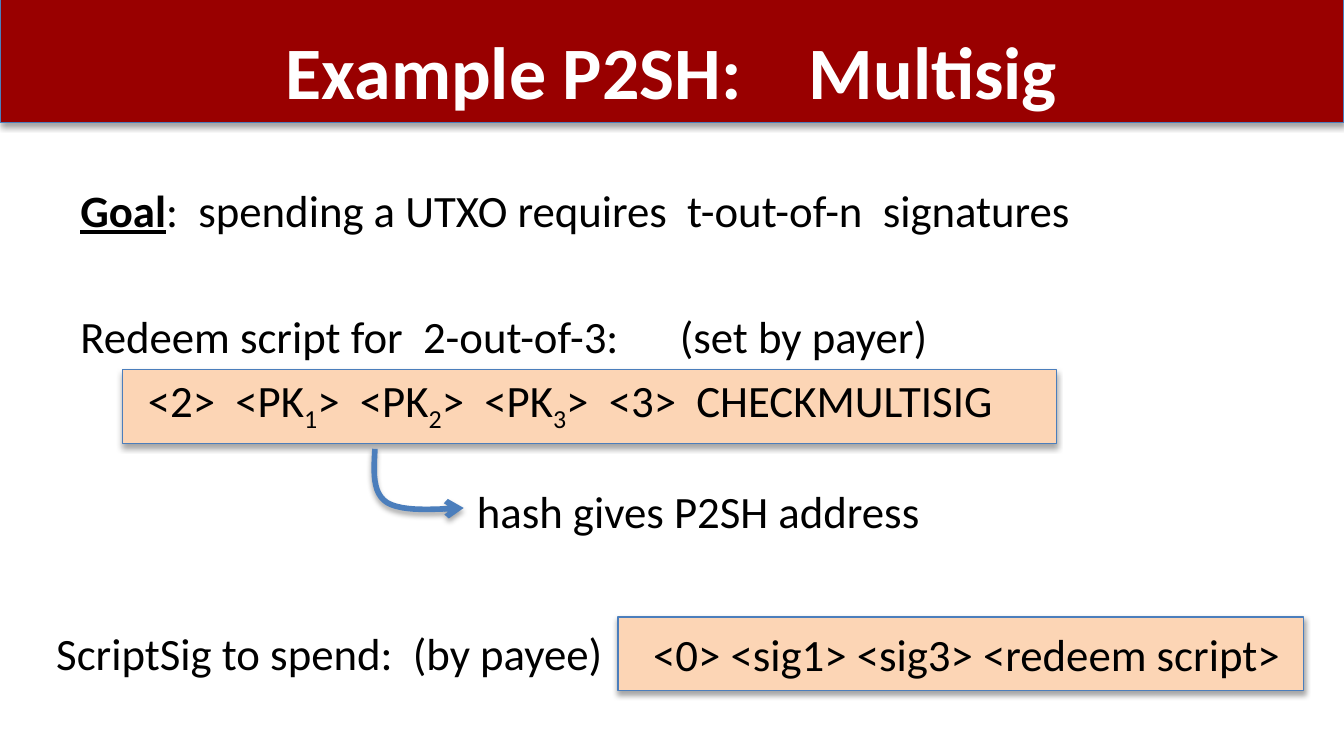
from dataclasses import dataclass

from lxml import etree
from pptx import Presentation
from pptx.dml.color import RGBColor
from pptx.enum.shapes import MSO_SHAPE as Shape
from pptx.enum.text import MSO_ANCHOR as Anchor, PP_ALIGN as Align
from pptx.oxml import parse_xml
from pptx.oxml.ns import nsdecls, qn
from pptx.util import Inches, Pt

COLORS = {"banner": "990000", "box": "FCD5B5", "line": "4B7EBC",
          "text": "000000", "title": "FFFFFF", "shadow": "000000"}


def bezier(p0, p1, p2, p3, steps=12):
    """Return points along a cubic curve, without its start."""
    points = []
    for i in range(1, steps + 1):
        t = i / steps
        u = 1 - t
        points.append(tuple(u**3 * a + 3 * u * u * t * b + 3 * u * t * t * c + t**3 * d
                            for a, b, c, d in zip(p0, p1, p2, p3)))
    return points


@dataclass
class SlideBuilder:
    """Hold the style and the current slide."""
    slide: object
    font: str = "Calibri"
    size: float = 24

    def color(self, name):
        """Return a named colour."""
        return RGBColor.from_string(COLORS[name])

    def shadow(self, s):
        """Give a shape a soft shadow below."""
        s.shadow.inherit = False
        s._element.spPr.find(qn("a:effectLst")).append(parse_xml(
            f'<a:outerShdw {nsdecls("a")} blurRad="{Pt(3.1)}" dist="{Pt(1.8)}" '
            f'dir="5400000" rotWithShape="0"><a:srgbClr val="{COLORS["shadow"]}">'
            '<a:alpha val="35000"/></a:srgbClr></a:outerShdw>'))

    def box(self, x, y, w, h, fill):
        """Add an outlined rectangle with a shadow."""
        s = self.slide.shapes.add_shape(
            Shape.RECTANGLE, Inches(x), Inches(y), Inches(w), Inches(h))
        s.fill.solid()
        s.fill.fore_color.rgb = self.color(fill)
        s.line.color.rgb = self.color("line")
        s.line.width = Pt(0.75)
        self.shadow(s)
        return s

    def run(self, p, text, size=None, color="text", bold=False, underline=False, sub=False):
        """Add a styled run to a paragraph."""
        r = p.add_run()
        r.text = text
        r.font.name = self.font
        r.font.size = Pt(size or self.size)
        r.font.color.rgb = self.color(color)
        r.font.bold = bold
        r.font.underline = underline
        if sub:
            r._r.get_or_add_rPr().set("baseline", "-25000")

    def tab(self, p, pos):
        """Set one left tab stop on a paragraph."""
        tabs = etree.SubElement(p._p.get_or_add_pPr(), qn("a:tabLst"))
        etree.SubElement(tabs, qn("a:tab"), pos=str(Inches(pos)), algn="l")

    def text(self, x, y, w, h):
        """Add a wrapping text box and return its frame."""
        tf = self.slide.shapes.add_textbox(
            Inches(x), Inches(y), Inches(w), Inches(h)).text_frame
        tf.word_wrap = True
        return tf

    def script(self, x, y, w, h, left, top):
        """Add a script box and return its paragraph."""
        tf = self.box(x, y, w, h, "box").text_frame
        tf.word_wrap = True
        tf.vertical_anchor = Anchor.TOP
        tf.margin_left, tf.margin_top = Inches(left), Inches(top)
        tf.margin_right = tf.margin_bottom = 0
        p = tf.paragraphs[0]
        p.alignment = Align.LEFT
        return p

    def arrow(self, start, *curves):
        """Add a curved arrow made of cubic segments."""
        points, p0 = [start], start
        for curve in curves:
            points += bezier(p0, *curve)
            p0 = curve[-1]
        first, *rest = [(Inches(x), Inches(y)) for x, y in points]
        fb = self.slide.shapes.build_freeform(*first)
        fb.add_line_segments(rest, close=False)
        s = fb.convert_to_shape()
        s.fill.background()
        s.line.color.rgb = self.color("line")
        s.line.width = Pt(3)
        etree.SubElement(s.line._get_or_add_ln(), qn("a:tailEnd"), type="arrow")
        self.shadow(s)


def main():
    """Build the multisig slide."""
    prs = Presentation()
    prs.slide_width = Inches(10)
    prs.slide_height = prs.slide_width * 9 // 16
    b = SlideBuilder(prs.slides.add_slide(prs.slide_layouts[6]))

    b.box(0, -0.01, 10, 0.92, "banner")
    p = b.text(2.03, 0.14, 6.2, 0.77).paragraphs[0]
    b.tab(p, 3.89)
    b.run(p, "Example P2SH:\tMultisig", size=39.6, color="title", bold=True)

    tf = b.text(0.5, 1.31, 9, 1.44)
    p = tf.paragraphs[0]
    b.run(p, "Goal", bold=True, underline=True)
    b.run(p, ":  spending a UTXO requires  t-out-of-n  signatures")
    p = tf.add_paragraph()
    p.space_before = Pt(38.6)
    b.tab(p, 4.46)
    b.run(p, "Redeem script for  2-out-of-3:\t(set by payer)")

    p = b.script(0.91, 2.75, 6.95, 0.55, left=0.19, top=0.02)
    b.run(p, "<2>  <PK")
    for key, after in (("1", ">  <PK"), ("2", ">  <PK"), ("3", ">  <3>  CHECKMULTISIG")):
        b.run(p, key, sub=True)
        b.run(p, after)

    b.arrow((2.79, 3.34),
            ((2.78, 3.51), (2.77, 3.67), (2.88, 3.74)),
            ((3, 3.81), (3.23, 3.79), (3.45, 3.78)))
    b.run(b.text(3.45, 3.55, 3.53, 0.5).paragraphs[0], "hash gives P2SH address")

    b.run(b.text(0.32, 4.61, 4.28, 0.5).paragraphs[0], "ScriptSig to spend:  (by payee)")
    p = b.script(4.6, 4.59, 5.1, 0.55, left=0.26, top=0.07)
    b.run(p, "<0> <sig1> <sig3> <redeem script>")

    prs.save("out.pptx")


if __name__ == "__main__":
    main()
